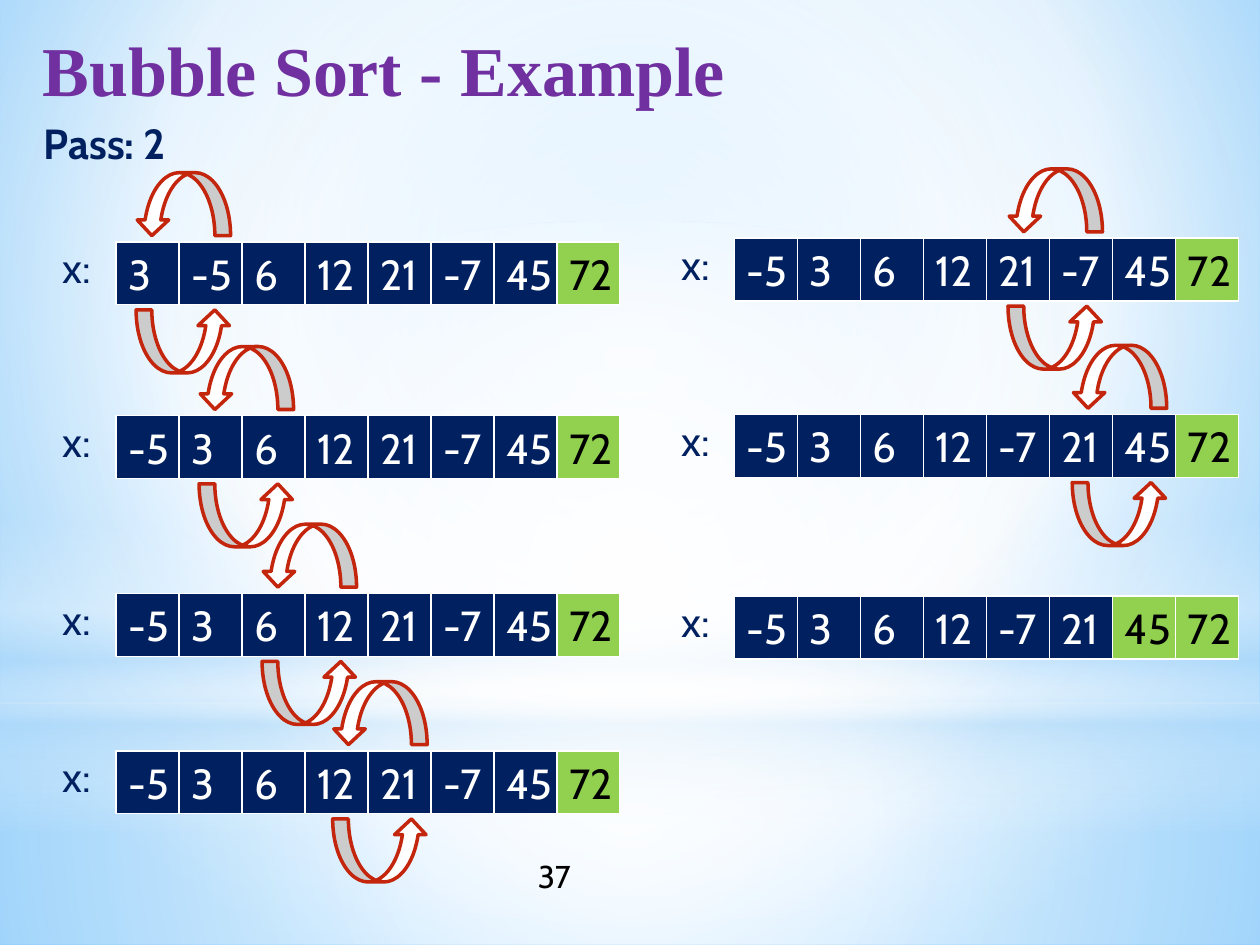
from pptx import Presentation
from pptx import oxml
from pptx import util as u
from pptx.dml.color import RGBColor
from pptx.enum import shapes, text
from pptx.oxml import ns

NAVY = RGBColor(0x00, 0x20, 0x60)
GREEN = RGBColor(0x92, 0xD0, 0x50)
PURPLE = RGBColor(0x70, 0x30, 0xA0)
RED = RGBColor(0xC3, 0x26, 0x0C)
WHITE = RGBColor(0xFF, 0xFF, 0xFF)
BLACK = RGBColor(0x00, 0x00, 0x00)
PALE = RGBColor(0xB4, 0xDC, 0xFA)
SKY = RGBColor(0x9E, 0xD5, 0xFF)
BLUE = RGBColor(0x5B, 0xB9, 0xFF)

CENTRE = (50, 50, 50, 50)
CELL = 0.5
LEFT, RIGHT = 0.92, 5.83

ROWS = [
    (LEFT, 1.92, [3, -5, 6, 12, 21, -7, 45, 72], 1, 1.08),
    (LEFT, 3.3, [-5, 3, 6, 12, 21, -7, 45, 72], 1, 1.58),
    (LEFT, 4.71, [-5, 3, 6, 12, 21, -7, 45, 72], 1, 2.08),
    (LEFT, 5.96, [-5, 3, 6, 12, 21, -7, 45, 72], 1, 2.64),
    (RIGHT, 1.89, [-5, 3, 6, 12, 21, -7, 45, 72], 1, 8),
    (RIGHT, 3.29, [-5, 3, 6, 12, -7, 21, 45, 72], 1, 8.51),
    (RIGHT, 4.73, [-5, 3, 6, 12, -7, 21, 45, 72], 2, None),
]


class SortSlide:
    font = "Cabin"
    size = 24

    def __init__(self, presentation):
        self.slide = presentation.slides.add_slide(presentation.slide_layouts[5])

    def gradient(self, owner, stops, focus=None):
        items = "".join(
            f'<a:gs pos="{position * 1000}"><a:srgbClr val="{color}">'
            f'<a:alpha val="{alpha * 1000}"/></a:srgbClr></a:gs>'
            for position, color, alpha in stops)
        if focus:
            sides = " ".join(f'{side}="{value * 1000}"' for side, value in zip("ltrb", focus))
            direction = f'<a:path path="circle"><a:fillToRect {sides}/></a:path>'
        else:
            direction = '<a:lin ang="5400000" scaled="0"/>'
        fill = oxml.parse_xml(
            f'<a:gradFill {ns.nsdecls("a")} rotWithShape="1">'
            f'<a:gsLst>{items}</a:gsLst>{direction}</a:gradFill>')
        solid = owner.find(ns.qn("a:solidFill"))
        owner.replace(solid, fill)

    def background(self, stops, focus):
        self.slide.background.fill.solid()
        self.gradient(self.slide.element.find(".//" + ns.qn("p:bgPr")), stops, focus)

    def shape(self, parent, kind, box, fill, line=None, width=0.75):
        shape = parent.shapes.add_shape(kind, *map(u.Inches, box))
        shape.shadow.inherit = False
        shape.fill.solid()
        shape.fill.fore_color.rgb = fill
        if line is None:
            shape.line.fill.background()
        else:
            shape.line.color.rgb = line
            shape.line.width = u.Pt(width)
        return shape

    def glow(self, kind, box, stops, focus=None):
        shape = self.shape(self.slide, kind, box, WHITE)
        self.gradient(shape.element.spPr, stops, focus)

    def add_words(self, shape, words, color, size=None, font=None, bold=False):
        paragraph = shape.text_frame.paragraphs[0]
        paragraph.alignment = text.PP_ALIGN.LEFT
        run = paragraph.add_run()
        run.text = words
        run.font.name = font or self.font
        run.font.size = u.Pt(size or self.size)
        run.font.bold = bold
        run.font.color.rgb = color

    def title(self, words, box):
        title = self.slide.shapes.title
        title.element.getparent().append(title.element)
        title.left, title.top, title.width, title.height = map(u.Inches, box)
        title.text_frame.auto_size = text.MSO_AUTO_SIZE.NONE
        title.text_frame.vertical_anchor = text.MSO_ANCHOR.MIDDLE
        self.add_words(title, words, PURPLE, 40, "Times New Roman", True)

    def label(self, parent, words, box, color=NAVY, wrap=True, grow=True, **style):
        label = parent.shapes.add_textbox(*map(u.Inches, box))
        label.text_frame.word_wrap = wrap
        if grow:
            label.text_frame.auto_size = text.MSO_AUTO_SIZE.SHAPE_TO_FIT_TEXT
        self.add_words(label, words, color, **style)

    def array(self, left, top, values, sorted_count):
        group = self.slide.shapes.add_group_shape()
        for index, value in enumerate(values):
            done = index >= len(values) - sorted_count
            cell = self.shape(group, shapes.MSO_SHAPE.RECTANGLE,
                              (left + index * CELL, top, CELL, CELL),
                              GREEN if done else NAVY, WHITE)
            cell.text_frame.word_wrap = False
            cell.text_frame.vertical_anchor = text.MSO_ANCHOR.MIDDLE
            self.add_words(cell, str(value), BLACK if done else WHITE)
        self.label(group, "x:", (left - 0.52, top - 0.05, 0.48, 0.5), wrap=False)

    def swap(self, left, top):
        for offset, rotation in ((0.54, 0), (-0.55, 180)):
            arrow = self.shape(self.slide, shapes.MSO_SHAPE.CURVED_UP_ARROW,
                               (left, top + offset, 0.75, 0.5), WHITE, RED, 2)
            arrow.rotation = rotation


def main():
    presentation = Presentation()
    presentation.slide_width = u.Inches(10)
    presentation.slide_height = u.Inches(7.5)
    page = SortSlide(presentation)

    page.background([(0, SKY, 100), (60, WHITE, 100), (100, BLUE, 100)], (20, 10, 20, 60))
    rectangle, oval = shapes.MSO_SHAPE.RECTANGLE, shapes.MSO_SHAPE.OVAL
    page.glow(rectangle, (0, 5.58, 10, 1.92),
              [(0, WHITE, 91), (37, WHITE, 76), (100, PALE, 79)], CENTRE)
    page.glow(rectangle, (0, 0, 10, 5.58),
              [(0, WHITE, 89), (48, WHITE, 62), (100, PALE, 79)], CENTRE)
    page.glow(rectangle, (0, 4.12, 10, 2.5),
              [(0, WHITE, 0), (29, WHITE, 30), (45, PALE, 40),
               (55, WHITE, 26), (65, PALE, 60), (100, WHITE, 0)])
    page.glow(oval, (0, 1.75, 10, 5.58), [(0, WHITE, 100), (56, WHITE, 0)], CENTRE)

    page.title("Bubble Sort - Example", (0.24, 0.08, 9.53, 0.92))
    page.label(page.slide, "37", (4.17, 6.75, 2, 0.4), BLACK, grow=False, size=18)
    page.label(page.slide, "Pass: 2", (0.25, 0.88, 1.42, 0.5), bold=True)
    for left, top, values, sorted_count, swap_left in ROWS:
        page.array(left, top, values, sorted_count)
        if swap_left is not None:
            page.swap(swap_left, top)

    presentation.save("out.pptx")


if __name__ == "__main__":
    main()
